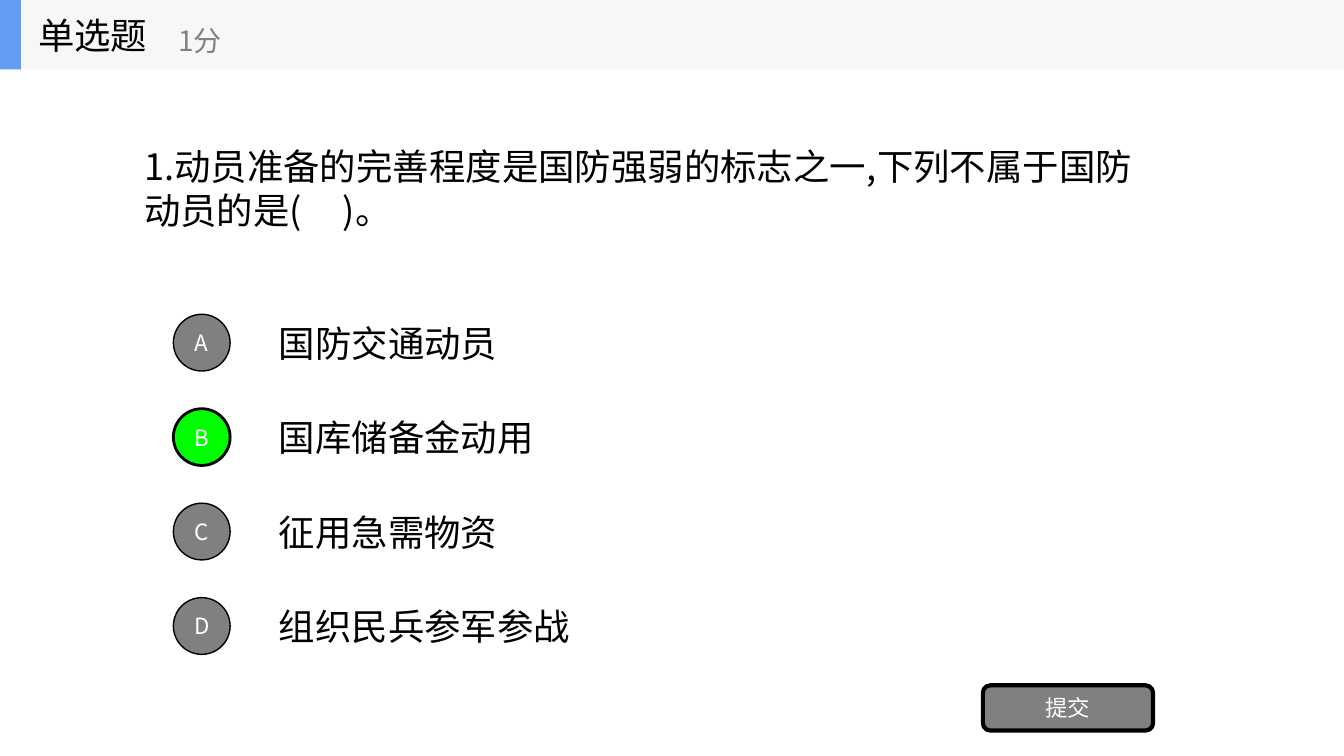
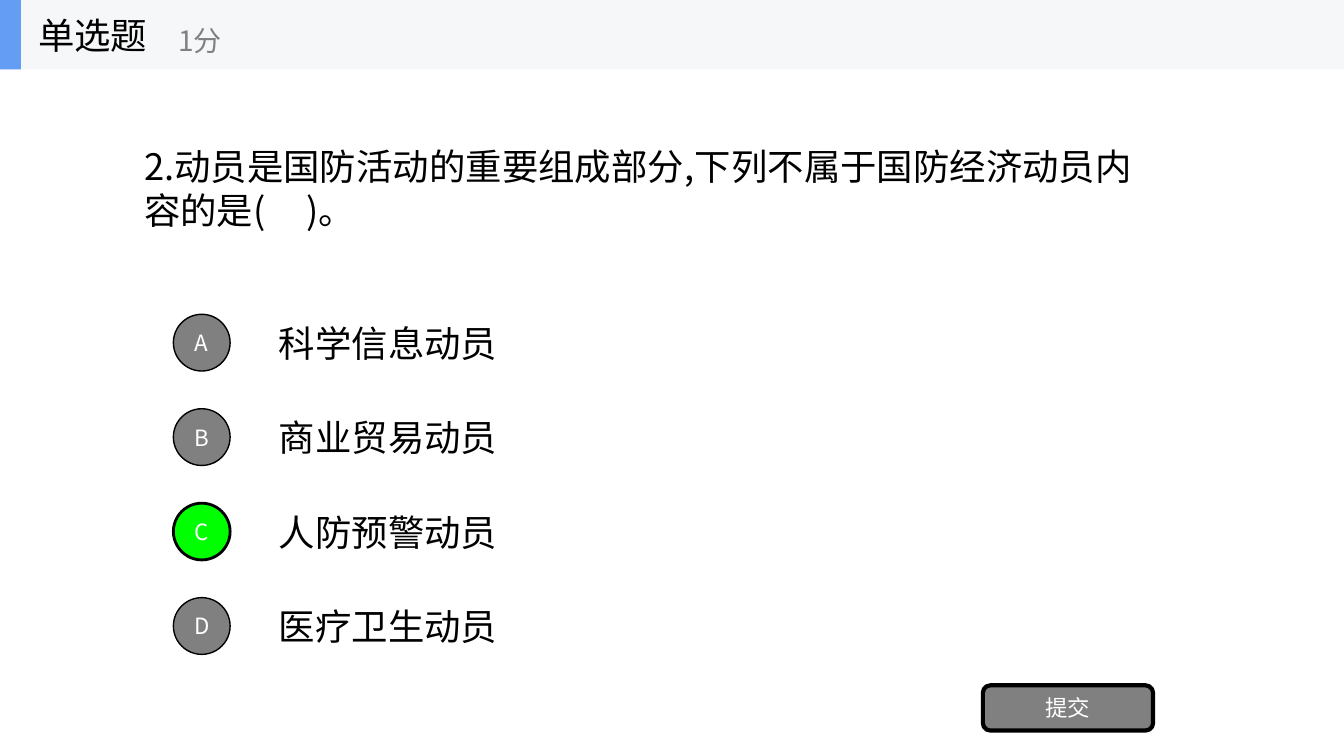
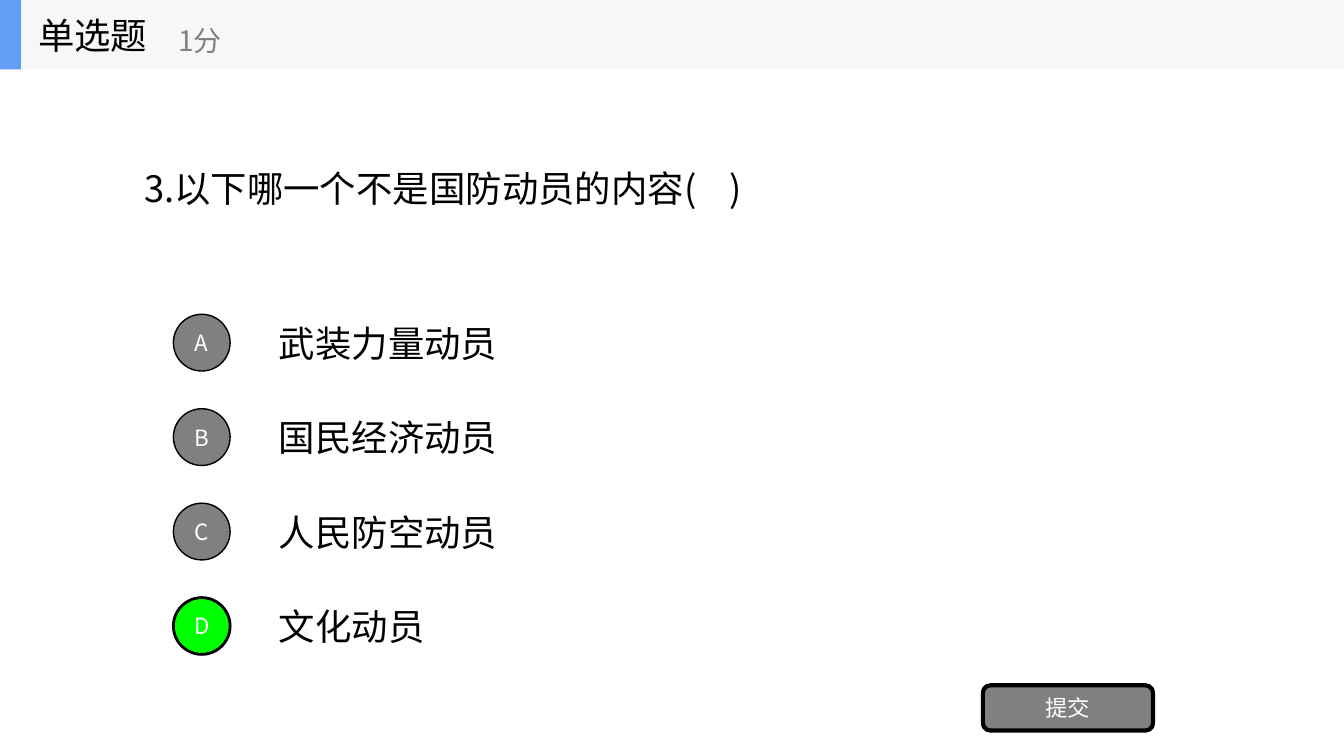
from pptx import Presentation
from pptx.dml.color import RGBColor
from pptx.enum.shapes import MSO_SHAPE
from pptx.enum.text import MSO_ANCHOR, MSO_AUTO_SIZE, PP_ALIGN
from pptx.oxml.ns import qn
from pptx.util import Cm, Pt

FONT = "Noto Sans CJK SC"
BLACK, WHITE, GRAY, GREEN = "000000", "FFFFFF", "808080", "00FF00"
BAND, ACCENT = "F6F7F8", "639EF4"
WIDTH, HEIGHT, BAND_HEIGHT = 33.87, 19.05, 1.75
LINE_HEIGHT = 1.35
OPTION_TOP, OPTION_PITCH, CIRCLE = 7.92, 2.38, 1.43
QUESTION_MIDDLE = 4.74

# question, width and height of its box, options, right answer
QUESTIONS = [
    ("1.动员准备的完善程度是国防强弱的标志之一,下列不属于国防动员的是(     )。", 26.26, 2.46,
     ["国防交通动员", "国库储备金动用", "征用急需物资", "组织民兵参军参战"], "B"),
    ("2.动员是国防活动的重要组成部分,下列不属于国防经济动员内容的是(     )。", 26.26, 2.46,
     ["科学信息动员", "商业贸易动员", "人防预警动员", "医疗卫生动员"], "C"),
    ("3.以下哪一个不是国防动员的内容(    )", 16.08, LINE_HEIGHT,
     ["武装力量动员", "国民经济动员", "人民防空动员", "文化动员"], "D"),
]


def add_text(shapes, text, left, top, width, height, size=26, color=BLACK, wrap=True):
    sp = shapes.add_textbox(Cm(left), Cm(top), Cm(width), Cm(height))
    tf = sp.text_frame
    tf.word_wrap = wrap
    tf.auto_size = MSO_AUTO_SIZE.SHAPE_TO_FIT_TEXT if wrap else MSO_AUTO_SIZE.NONE
    style_text(sp, text, size, color)


def style_text(sp, text, size, color):
    """Write one vertically centred run, with the font set for Latin and Chinese."""
    tf = sp.text_frame
    tf.vertical_anchor = MSO_ANCHOR.MIDDLE
    r = tf.paragraphs[0].add_run()
    r.text = text
    r.font.size = Pt(size)
    r.font.name = FONT
    r.font.color.rgb = RGBColor.from_string(color)
    ea = r.font._element.makeelement(qn("a:ea"), {"typeface": FONT})
    r.font._element.find(qn("a:latin")).addnext(ea)


prs = Presentation()
prs.slide_width, prs.slide_height = Cm(WIDTH), Cm(HEIGHT)

for question, width, height, options, answer in QUESTIONS:
    s = prs.slides.add_slide(prs.slide_layouts[6])
    add_text(s.shapes, question, 3.38, QUESTION_MIDDLE - height / 2, width, height)

    buttons = []
    for i, (letter, option) in enumerate(zip("ABCD", options)):
        top = OPTION_TOP + i * OPTION_PITCH
        add_text(s.shapes, option, 6.78, top + (CIRCLE - LINE_HEIGHT) / 2,
                 0.92 * len(option) + 0.75, LINE_HEIGHT)
        right = letter == answer
        buttons.append((MSO_SHAPE.OVAL, letter, 4.37, top, CIRCLE, CIRCLE,
                        GREEN if right else GRAY, 2 if right else 1))
    buttons.append((MSO_SHAPE.ROUNDED_RECTANGLE, "提交", 24.77, 17.27, 4.29, 1.14, GRAY, 3))

    for kind, label, left, top, w, h, fill, line in buttons:
        sp = s.shapes.add_shape(kind, Cm(left), Cm(top), Cm(w), Cm(h))
        sp.shadow.inherit = False
        sp.fill.solid()
        sp.fill.fore_color.rgb = RGBColor.from_string(fill)
        sp.line.color.rgb = RGBColor.from_string(BLACK)
        sp.line.width = Pt(line)
        style_text(sp, label, 16, WHITE)
        sp.text_frame.paragraphs[0].alignment = PP_ALIGN.CENTER

    header = s.shapes.add_group_shape().shapes
    for w, fill in ((WIDTH, BAND), (0.53, ACCENT)):
        sp = header.add_shape(MSO_SHAPE.RECTANGLE, 0, 0, Cm(w), Cm(BAND_HEIGHT))
        sp.shadow.inherit = False
        sp.fill.solid()
        sp.fill.fore_color.rgb = RGBColor.from_string(fill)
        sp.line.fill.background()
    add_text(header, "单选题", 0.71, 0, 5.28, BAND_HEIGHT, wrap=False)
    add_text(header, "1分", 4.24, 0.3, 6.35, 1.42, 20, GRAY, wrap=False)

prs.save("out.pptx")
